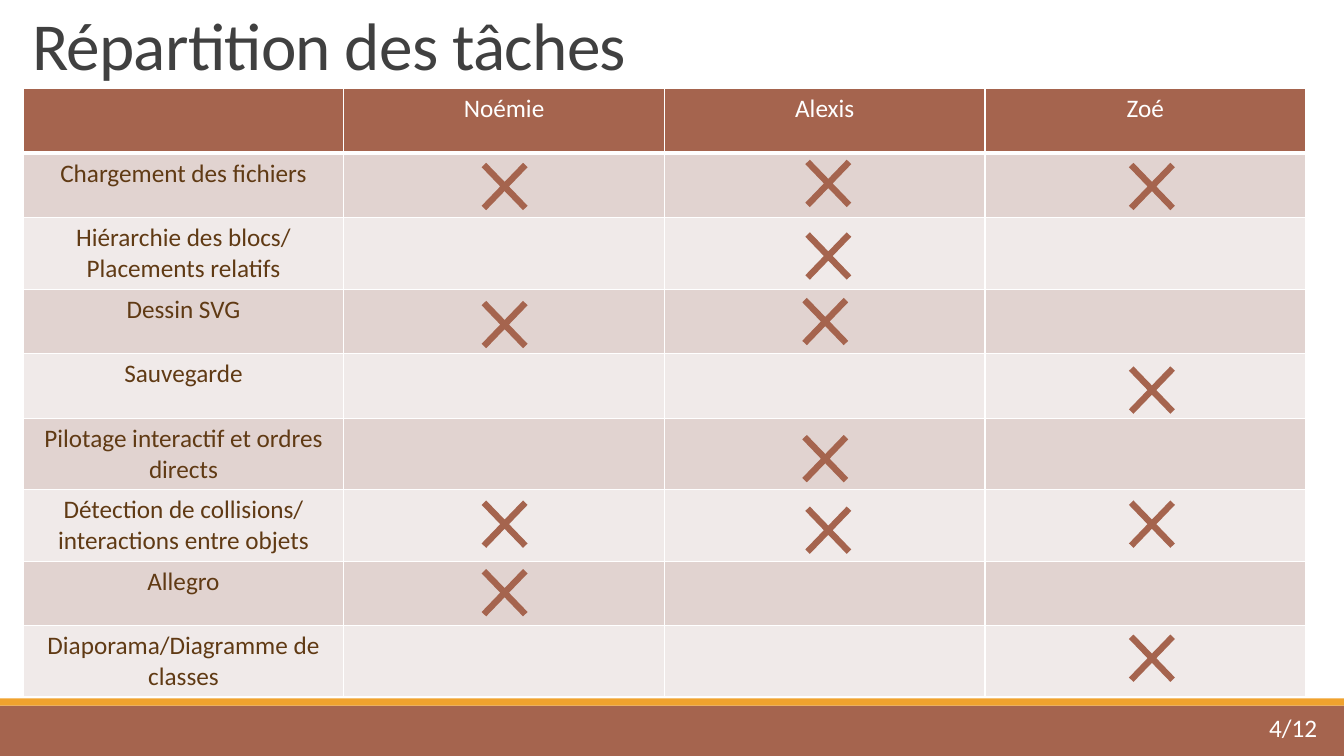
from lxml.etree import SubElement
from pptx import Presentation
from pptx.dml.color import RGBColor
from pptx.enum.shapes import MSO_SHAPE as Shape
from pptx.enum.text import MSO_ANCHOR as Anchor, PP_ALIGN as Align
from pptx.oxml.ns import qn
from pptx.util import Inches, Pt

COLORS = {
    "brick": "A5644E", "amber": "F0A22E", "white": "FFFFFF", "title": "404040",
    "task": "603A14", "dark_band": "E1D3D0", "light_band": "F0EAE9",
}
TITLE = "Répartition des tâches"
PAGE_NUMBER = "4/12"
PEOPLE = ["Noémie", "Alexis", "Zoé"]
TASKS = [
    ("Chargement des fichiers", 0.64, [(4.61, 1.44), (7.82, 1.41), (11.03, 1.44)]),
    ("Hiérarchie des blocs/ Placements relatifs", 0.71, [(7.82, 2.13)]),
    ("Dessin SVG", 0.64, [(4.61, 2.81), (7.79, 2.78)]),
    ("Sauvegarde", 0.64, [(11.03, 3.46)]),
    ("Pilotage interactif et ordres directs", 0.71, [(7.79, 4.14)]),
    ("Détection de collisions/ interactions entre objets", 0.71,
     [(4.61, 4.79), (7.82, 4.85), (11.03, 4.79)]),
    ("Allegro", 0.64, [(4.61, 5.47)]),
    ("Diaporama/Diagramme de classes", 0.7, [(11.03, 6.12)]),
]
HEADER_HEIGHT = 0.64
COLUMN_WIDTH = 3.18
BARS = [("brick", 7, 0.5), ("amber", 6.93, 0.07)]


def color(name):
    return RGBColor.from_string(COLORS[name])


def write(frame, text, size, color_name, align=Align.LEFT):
    para = frame.paragraphs[0]
    para.alignment = align
    span = para.add_run()
    span.text = text
    for key, value in {"size": Pt(size), "name": "Calibri", "bold": False}.items():
        setattr(span.font, key, value)
    span.font.color.rgb = color(color_name)
    return para, span


def add_shape(page, kind, box, color_name):
    shape = page.shapes.add_shape(kind, *map(Inches, box))
    shape.shadow.inherit = False
    shape.fill.solid()
    shape.fill.fore_color.rgb = color(color_name)
    shape.line.fill.background()
    return shape


def set_borders(cell, widths):
    properties = cell._tc.get_or_add_tcPr()
    for index, (side, width) in enumerate(widths.items()):
        line = SubElement(properties, qn(f"a:ln{side}"), w=str(Pt(width)))
        fill = SubElement(line, qn("a:solidFill"))
        SubElement(fill, qn("a:srgbClr"), val=COLORS["white"])
        properties.insert(index, line)


def add_title(page):
    box = page.shapes.add_textbox(*map(Inches, (0.22, 0.06, 11, 0.82)))
    frame = box.text_frame
    frame.word_wrap = True
    frame.vertical_anchor = Anchor.BOTTOM
    para, span = write(frame, TITLE, 48, "title")
    para.line_spacing = 0.85
    span._r.get_or_add_rPr().set("spc", "-50")


def add_task_table(page):
    rows = [["", *PEOPLE]] + [[task] + [""] * len(PEOPLE) for task, _, _ in TASKS]
    heights = [HEADER_HEIGHT] + [height for _, height, _ in TASKS]
    columns = len(rows[0])
    box = (0.23, 0.88, COLUMN_WIDTH * columns, sum(heights))
    table = page.shapes.add_table(len(rows), columns, *map(Inches, box)).table
    for column in table.columns:
        column.width = Inches(COLUMN_WIDTH)
    for r, (texts, height) in enumerate(zip(rows, heights)):
        table.rows[r].height = Inches(height)
        band = "brick" if r == 0 else ("light_band", "dark_band")[r % 2]
        widths = {"L": 1, "R": 1, "T": 3 if r == 1 else 1, "B": 3 if r == 0 else 1}
        for c, text in enumerate(texts):
            cell = table.cell(r, c)
            cell.fill.solid()
            cell.fill.fore_color.rgb = color(band)
            set_borders(cell, widths)
            if text:
                write(cell.text_frame, text, 18, "task" if r else "white", Align.CENTER)


def main():
    deck = Presentation()
    deck.slide_width, deck.slide_height = Inches(13.33), Inches(7.5)
    page = deck.slides.add_slide(deck.slide_layouts[6])
    for name, top, height in BARS:
        add_shape(page, Shape.RECTANGLE, (0, top, 13.33, height), name)
    number = page.shapes.add_textbox(*map(Inches, (12.49, 7.02, 0.73, 0.4)))
    write(number.text_frame, PAGE_NUMBER, 18, "white")
    add_title(page)
    add_task_table(page)
    for _, _, marks in TASKS:
        for left, top in marks:
            cross = add_shape(page, Shape.MATH_MULTIPLY, (left, top, 0.79, 0.82), "brick")
            cross.adjustments[0] = 0.08
    deck.save("out.pptx")


if __name__ == "__main__":
    main()
